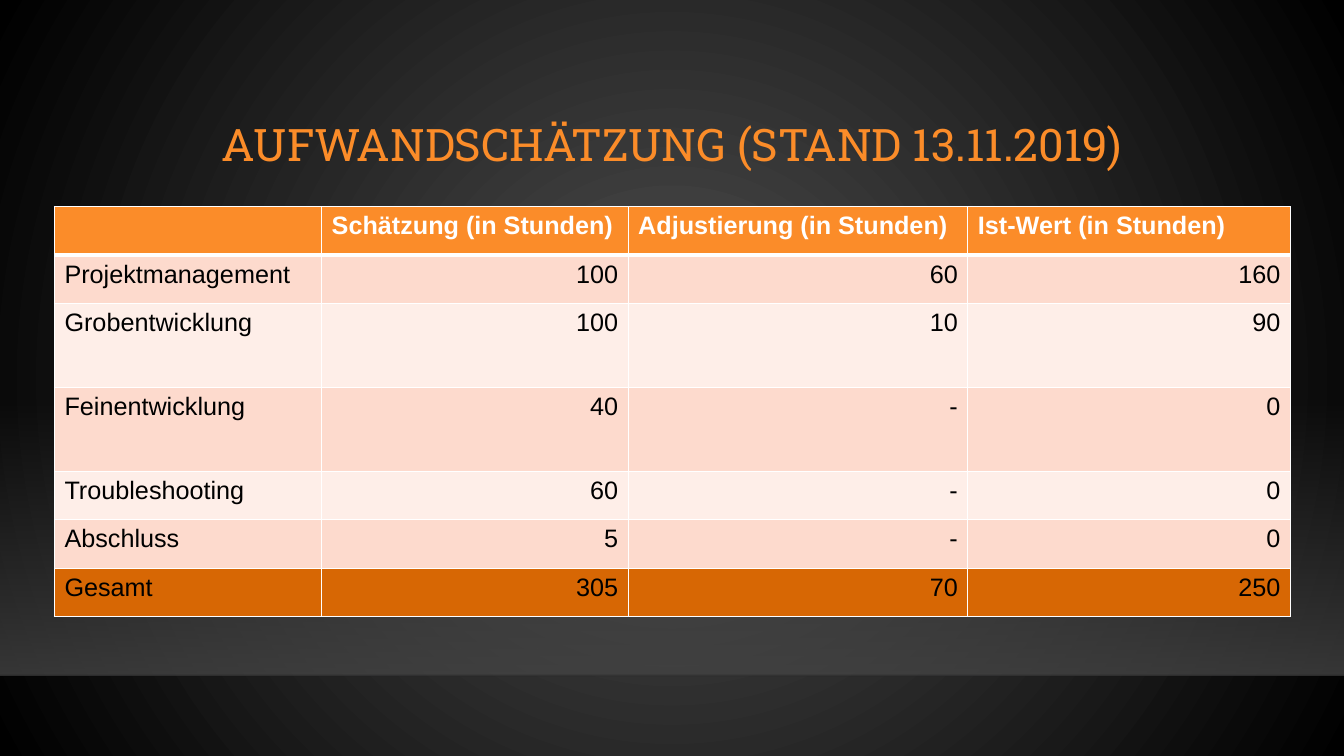
import pptx
import pptx.util
import pptx.dml.color
import pptx.enum.shapes
import pptx.enum.text
import pptx.oxml
import pptx.oxml.ns

Inches, Pt = pptx.util.Inches, pptx.util.Pt
RGBColor = pptx.dml.color.RGBColor
ALIGN = pptx.enum.text.PP_ALIGN
qn = pptx.oxml.ns.qn

ORANGE = RGBColor(0xFB, 0x8C, 0x29)
DARK_ORANGE = RGBColor(0xD7, 0x67, 0x04)
ROSE = RGBColor(0xFD, 0xDA, 0xCD)
PALE_ROSE = RGBColor(0xFE, 0xEE, 0xE8)
WHITE = RGBColor(0xFF, 0xFF, 0xFF)
BLACK = RGBColor(0, 0, 0)
EDGE_BLACK = RGBColor(0, 0, 1)
GLOW_GREY = RGBColor(0x50, 0x50, 0x50)
FLOOR_GREY = RGBColor(0x45, 0x45, 0x45)

HEADINGS = ["", "Schätzung (in Stunden)", "Adjustierung (in Stunden)", "Ist-Wert (in Stunden)"]
EFFORTS = [
    ["Projektmanagement", "100", "60", "160"],
    ["Grobentwicklung", "100", "10", "90"],
    ["Feinentwicklung", "40", "-", "0"],
    ["Troubleshooting", "60", "-", "0"],
    ["Abschluss", "5", "-", "0"],
]
TOTAL = ["Gesamt", "305", "70", "250"]
COLUMN_WIDTHS = [2.65, 3.04, 3.37, 3.2]
ROW_HEIGHTS = [0.48, 0.48, 0.83, 0.83, 0.48, 0.48, 0.48]


def xml(markup):
    """Parse one DrawingML element."""
    namespace = pptx.oxml.ns.nsdecls("a")
    return pptx.oxml.parse_xml(markup.replace(">", f" {namespace}>", 1))


def apply_format(target, values):
    """Set every attribute named in the format values."""
    for name, value in values.items():
        setattr(target, name, value)


def set_opacity(fill_element, percents):
    """Give each colour of a fill its opacity."""
    for colour, percent in zip(fill_element.iter(qn("a:srgbClr")), percents):
        colour.append(xml(f'<a:alpha val="{percent * 1000}"></a:alpha>'))


def fill_gradient(fill, colours):
    """Fill with a gradient between two colours."""
    fill.gradient()
    for stop, colour in zip(fill.gradient_stops, colours):
        stop.color.rgb = colour


def write(paragraph, text, layout, font):
    """Write one formatted run of text."""
    run = paragraph.add_run()
    run.text = text
    apply_format(paragraph, layout)
    font = dict(font)
    run.font.color.rgb = font.pop("colour")
    apply_format(run.font, font)


def add_backdrop(slide, left, top, width, height):
    """Draw the radial glow and the shaded floor with its edge."""
    fill_gradient(slide.background.fill, [GLOW_GREY, BLACK])
    direction = slide.element.find(".//" + qn("a:lin"))
    direction.getparent().replace(direction, xml(
        '<a:path path="circle"><a:fillToRect l="50000" t="50000" r="50000" b="50000"/></a:path>'))

    floor = slide.shapes.add_shape(
        pptx.enum.shapes.MSO_SHAPE.RECTANGLE,
        Inches(left), Inches(top), Inches(width), Inches(height))
    floor.shadow.inherit = False
    floor.line.fill.background()
    fill_gradient(floor.fill, [FLOOR_GREY, FLOOR_GREY])
    floor.fill.gradient_angle = 270
    set_opacity(floor.element.spPr, [0, 80])

    bottom = Inches(top + height)
    edge = slide.shapes.add_connector(
        pptx.enum.shapes.MSO_CONNECTOR.STRAIGHT,
        Inches(left), bottom, Inches(left + width), bottom)
    edge.line.color.rgb = EDGE_BLACK
    edge.line.width = Pt(1)
    set_opacity(edge.element.spPr, [20])
    edge.element.spPr.append(xml("<a:effectLst></a:effectLst>"))


def add_title(slide, left, top, width, height):
    """Write the centred slide title."""
    title = slide.shapes.add_textbox(Inches(left), Inches(top), Inches(width), Inches(height))
    apply_format(title.text_frame, {
        "word_wrap": True, "vertical_anchor": pptx.enum.text.MSO_ANCHOR.MIDDLE})
    write(title.text_frame.paragraphs[0], "AUFWANDSCHÄTZUNG (STAND 13.11.2019)",
          {"alignment": ALIGN.CENTER, "line_spacing": 0.9},
          {"size": Pt(32), "name": "Roboto Slab", "colour": ORANGE})


def add_borders(cell, widths):
    """Draw white borders on the left, right, top and bottom of a cell."""
    properties = cell._tc.get_or_add_tcPr()
    for position, (side, width) in enumerate(zip("LRTB", widths)):
        properties.insert(position, xml(
            f'<a:ln{side} w="{Pt(width)}"><a:solidFill><a:srgbClr val="{WHITE}"/>'
            f'</a:solidFill></a:ln{side}>'))


def add_effort_table(slide, left, top, width, height):
    """Build the table of estimated, adjusted and actual hours."""
    rows = [HEADINGS, *EFFORTS, TOTAL]
    fills = [ORANGE, *([ROSE, PALE_ROSE] * len(EFFORTS))[:len(EFFORTS)], DARK_ORANGE]
    efforts = slide.shapes.add_table(
        len(rows), len(HEADINGS),
        Inches(left), Inches(top), Inches(width), Inches(height)).table
    for column, share in zip(efforts.columns, COLUMN_WIDTHS):
        column.width = Inches(width * share / sum(COLUMN_WIDTHS))
    for row, share in zip(efforts.rows, ROW_HEIGHTS):
        row.height = Inches(height * share / sum(ROW_HEIGHTS))
    for r, (texts, colour) in enumerate(zip(rows, fills)):
        heading = r == 0
        font = {"size": Pt(18), "name": "Arial", "bold": heading,
                "colour": WHITE if heading else BLACK}
        for c, text in enumerate(texts):
            cell = efforts.cell(r, c)
            cell.fill.solid()
            cell.fill.fore_color.rgb = colour
            add_borders(cell, [1, 1, 3 if r == 1 else 1, 3 if heading else 1])
            if text:
                number = c > 0 and not heading
                write(cell.text_frame.paragraphs[0], text,
                      {"alignment": ALIGN.RIGHT if number else ALIGN.LEFT}, font)


def main():
    """Build and save the slide."""
    deck = pptx.Presentation()
    apply_format(deck, {"slide_width": Inches(13.33), "slide_height": Inches(7.5)})
    slide = deck.slides.add_slide(deck.slide_layouts[6])
    add_backdrop(slide, 0, 3.96, 13.33, 2.74)
    add_title(slide, 1.59, 0.88, 10.16, 1.15)
    add_effort_table(slide, 0.54, 2.05, 12.26, 4.07)
    deck.save("out.pptx")


main()
